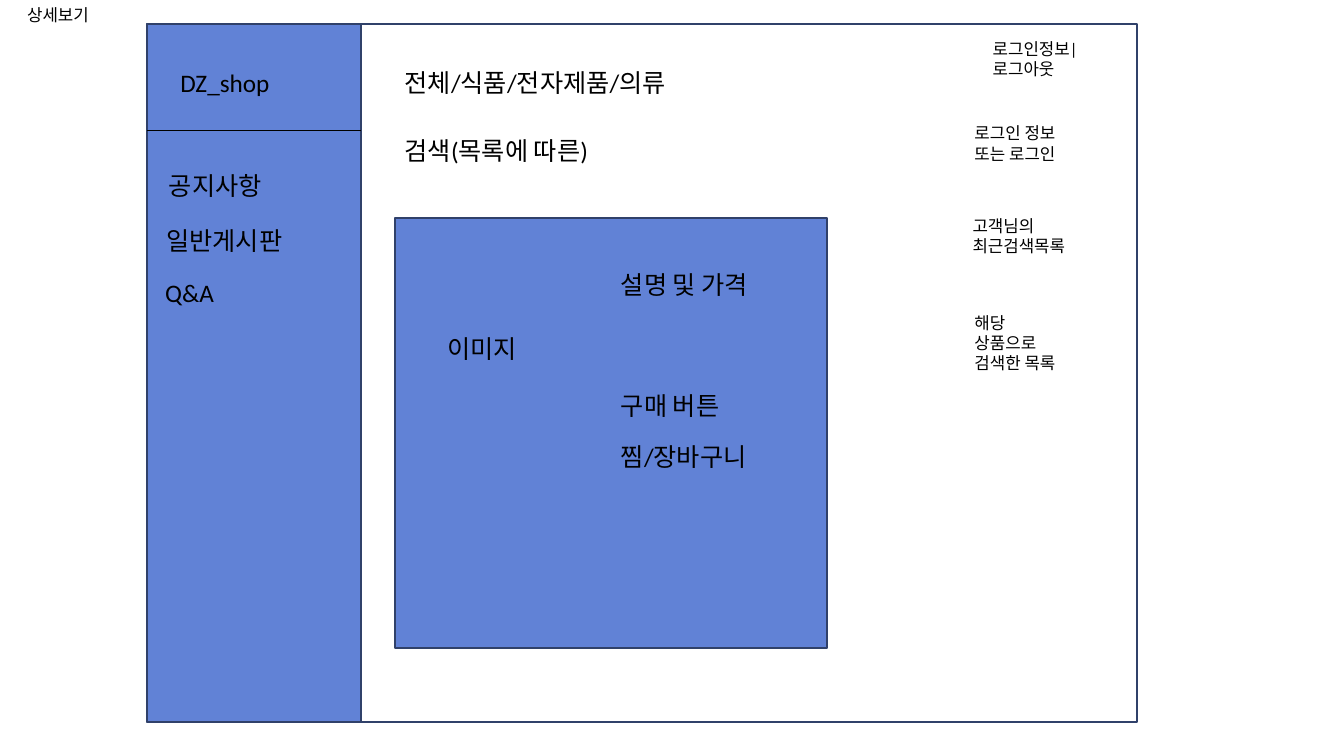
from pptx import Presentation
from pptx.dml.color import RGBColor
from pptx.enum.shapes import MSO_CONNECTOR, MSO_SHAPE
from pptx.enum.text import MSO_ANCHOR, MSO_AUTO_SIZE, PP_ALIGN
from pptx.oxml.ns import qn
from pptx.util import Pt
from lxml.etree import SubElement

BLUE, NAVY, WHITE, BLACK = "6182D6", "30416A", "FFFFFF", "000000"


def rgb(color):
    return RGBColor.from_string(color)


class Wireframe:
    """Draws on one slide in a single style; all lengths are in points."""

    frame = {"word_wrap": True, "auto_size": MSO_AUTO_SIZE.NONE,
             "vertical_anchor": MSO_ANCHOR.TOP,
             "margin_left": Pt(7.2), "margin_right": Pt(7.2),
             "margin_top": Pt(3.6), "margin_bottom": Pt(3.6)}
    font = {"name": "Calibri", "bold": False}

    def __init__(self, slide):
        self.s = slide

    def set_text(self, sp, text, size):
        tf = sp.text_frame
        for name, value in self.frame.items():
            setattr(tf, name, value)
        p = tf.paragraphs[0]
        p.alignment = PP_ALIGN.LEFT
        r = p.add_run()
        r.text = text
        for name, value in {**self.font, "size": Pt(size)}.items():
            setattr(r.font, name, value)
        r.font.color.rgb = rgb(BLACK)

    def title(self, text, x, y, w, h, size=12):
        sp = self.s.shapes.title
        for name, value in zip(("left", "top", "width", "height"), (x, y, w, h)):
            setattr(sp, name, Pt(value))
        self.set_text(sp, text, size)

    def text(self, text, x, y, w, h=28.8, size=18):
        sp = self.s.shapes.add_textbox(Pt(x), Pt(y), Pt(w), Pt(h))
        self.set_text(sp, text, size)

    def panel(self, x, y, w, h, fill):
        sp = self.s.shapes.add_shape(MSO_SHAPE.RECTANGLE, Pt(x), Pt(y), Pt(w), Pt(h))
        sp.shadow.inherit = False
        sp.fill.solid()
        sp.fill.fore_color.rgb = rgb(fill)
        sp.line.color.rgb = rgb(NAVY)
        sp.line.width = Pt(1.5)

    def rule(self, x, y, w):
        line = self.s.shapes.add_connector(
            MSO_CONNECTOR.STRAIGHT, Pt(x), Pt(y), Pt(x + w), Pt(y))
        line.line.color.rgb = rgb(BLACK)
        line.line.width = Pt(1)
        SubElement(line._element.spPr, qn("a:effectLst"))


def main():
    prs = Presentation()
    prs.slide_width, prs.slide_height = Pt(960), Pt(540)
    page = Wireframe(prs.slides.add_slide(prs.slide_layouts[5]))

    left, top, height, sidebar = 105.3, 17.2, 498.3, 152.8
    content = 282
    page.title("상세보기", 12.2, 0, 176.4, 20.9)
    page.panel(left, top, 707, height, WHITE)
    page.panel(content, 155.6, 309, 307.6, BLUE)
    page.panel(left, top, sidebar, height, BLUE)
    page.rule(left, 93.4, sidebar)

    page.text("DZ_shop", 121.7, 44.6, 118.8)
    page.text("전체/식품/전자제품/의류", content, 44.6, 300)
    page.text("검색(목록에 따른)", content, 93.4, 237)

    for text, x, y in (("공지사항", 113.6, 118.1),
                       ("일반게시판", 111.8, 157.6),
                       ("Q&A", 110.9, 194.6)):
        page.text(text, x, y, 118.8)

    page.text("이미지", 312.6, 234.8, 74.2)
    for text, y in (("설명 및 가격", 188.6), ("구매 버튼", 275.6), ("찜/장바구니", 312)):
        page.text(text, 436.4, y, 121)

    for text, x, y, h in (("로그인정보|로그아웃", 702, 23.8, 36),
                          ("로그인 정보 또는 로그인", 689, 84.4, 35.3),
                          ("고객님의 최근검색목록", 687.6, 150.5, 35.3),
                          ("해당 상품으로 검색한 목록", 689, 219.6, 50.4)):
        page.text(text, x, y, 81, h, 12)

    prs.save("out.pptx")


if __name__ == "__main__":
    main()
